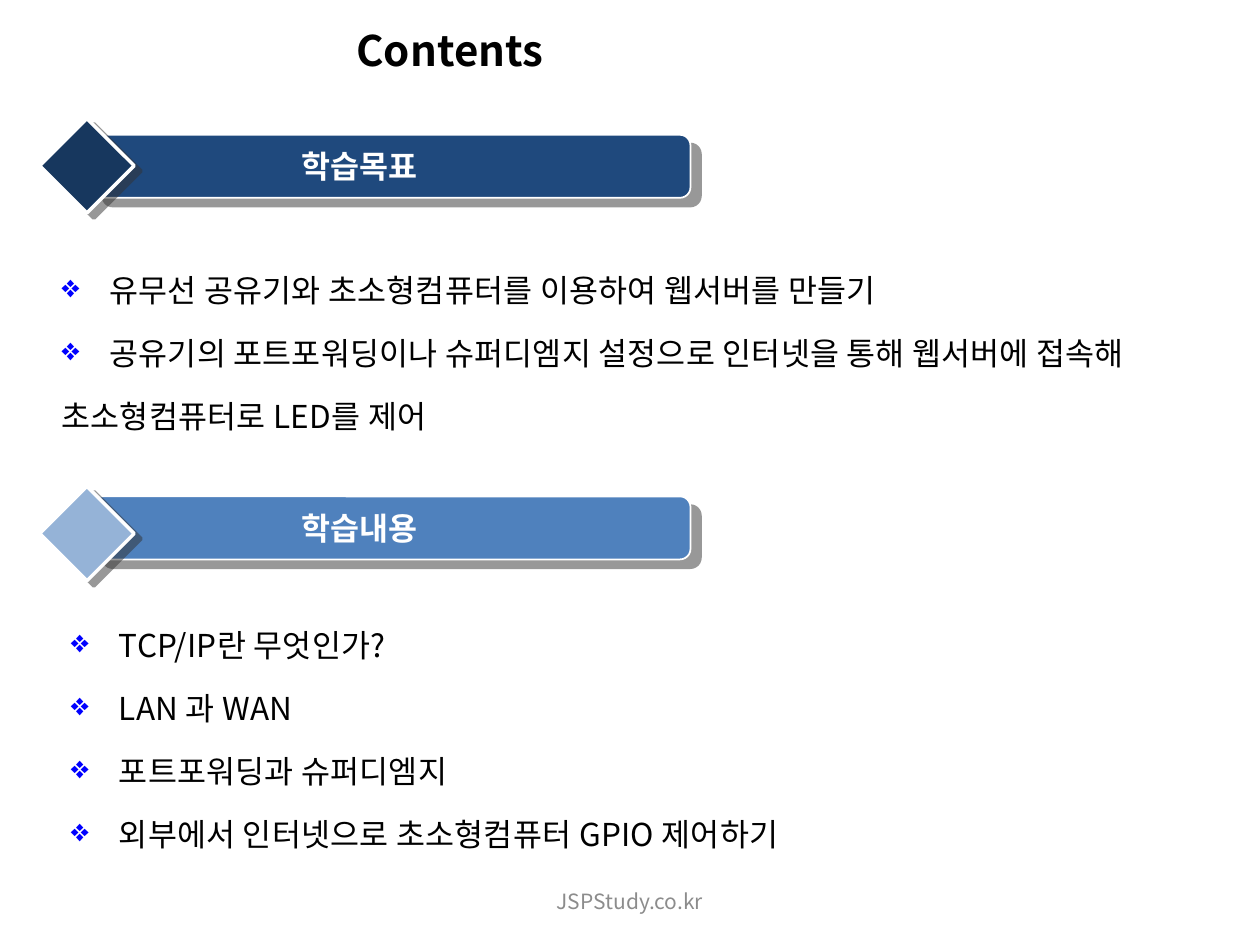
import dataclasses

import lxml.etree
import pptx
import pptx.dml.color
import pptx.enum.shapes
import pptx.enum.text
import pptx.oxml.ns
import pptx.util

SHAPE = pptx.enum.shapes.MSO_SHAPE
ALIGN = pptx.enum.text.PP_ALIGN
ANCHOR = pptx.enum.text.MSO_ANCHOR
COLUMNS, ROWS = 100, 75


@dataclasses.dataclass(frozen=True)
class Theme:
    font: str = "Noto Sans CJK KR"
    bullet_font: str = "OpenSymbol"
    ink: str = "000000"
    paper: str = "FFFFFF"
    muted: str = "8C8C8C"
    bullet: str = "0000FF"
    shadow: str = "333333"
    goal_bar: str = "1F497D"
    goal_diamond: str = "17375E"
    topic_bar: str = "4F81BD"
    topic_diamond: str = "95B3D7"
    title_size: int = 24
    body_size: int = 18
    footer_size: int = 12
    body_tracking: float = 0.15


def rgb(value):
    return pptx.dml.color.RGBColor.from_string(value)


def add_xml(parent, tag, **attributes):
    return lxml.etree.SubElement(parent, pptx.oxml.ns.qn(tag), attributes)


def write(para, text, *, font, size, color, bold=False, align=ALIGN.LEFT, tracking=0):
    """Put formatted text into a paragraph."""
    para.alignment = align
    span = para.add_run()
    span.text = text
    span.font.name = font
    span.font.size = pptx.util.Pt(size)
    span.font.bold = bold
    span.font.color.rgb = rgb(color)
    add_xml(span.font._element, "a:ea", typeface=font)
    if tracking:
        span.font._element.set("spc", str(round(tracking * 100)))


class SlideBuilder:
    """Places elements on a grid of 100 columns by 75 rows."""

    def __init__(self, deck, theme):
        self.deck = deck
        self.theme = theme
        self.page = deck.slides.add_slide(deck.slide_layouts[5])

    def place(self, left, top, width, height):
        column = self.deck.slide_width / COLUMNS
        row = self.deck.slide_height / ROWS
        return [round(left * column), round(top * row),
                round(width * column), round(height * row)]

    def title(self, text, area):
        box = self.page.shapes.title
        box.left, box.top, box.width, box.height = self.place(*area)
        frame = box.text_frame
        frame.vertical_anchor = ANCHOR.MIDDLE
        write(frame.paragraphs[0], text, font=self.theme.font, bold=True,
              size=self.theme.title_size, color=self.theme.ink, align=ALIGN.CENTER)

    def shadowed(self, shapes, kind, area, fill, line_width, distance, angle):
        shape = shapes.add_shape(kind, *self.place(*area))
        shape.fill.solid()
        shape.fill.fore_color.rgb = rgb(fill)
        shape.line.color.rgb = rgb(self.theme.paper)
        shape.line.width = pptx.util.Pt(line_width)
        # Offset shadow, half transparent
        shape.shadow.inherit = False
        effects = shape._element.spPr.find(pptx.oxml.ns.qn("a:effectLst"))
        shadow = add_xml(effects, "a:outerShdw", blurRad="0", algn="ctr", rotWithShape="0",
                         dist=str(pptx.util.Pt(distance)), dir=str(angle * 60000))
        color = add_xml(shadow, "a:srgbClr", val=self.theme.shadow)
        add_xml(color, "a:alpha", val="50000")

    def label(self, shapes, text, area, *, size, color, bold=False, anchor=ANCHOR.TOP):
        box = shapes.add_textbox(*self.place(*area))
        frame = box.text_frame
        frame.word_wrap = True
        frame.vertical_anchor = anchor
        write(frame.paragraphs[0], text, font=self.theme.font, size=size,
              color=color, bold=bold, align=ALIGN.CENTER)

    def heading(self, text, bar_top, diamond_top, bar_color, diamond_color):
        shapes = self.page.shapes.add_group_shape().shapes
        self.shadowed(shapes, SHAPE.ROUNDED_RECTANGLE, (7.3, bar_top, 47.5, 5),
                      bar_color, 1, 7.8, 40)
        self.shadowed(shapes, SHAPE.DIAMOND, (3.15, diamond_top, 7.5, 7.5),
                      diamond_color, 2, 5, 37)
        self.label(shapes, text, (9.8, bar_top + 0.5, 37.5, 4), bold=True,
                   size=self.theme.body_size, color=self.theme.paper)

    def bullets(self, items, area):
        """Each item is a pair: text, and whether it carries a bullet."""
        frame = self.page.shapes.add_textbox(*self.place(*area)).text_frame
        frame.word_wrap = True
        indent = pptx.util.Inches(0.38)
        for index, (text, marked) in enumerate(items):
            para = frame.add_paragraph() if index else frame.paragraphs[0]
            settings = para._p.get_or_add_pPr()
            settings.set("marL", str(indent))
            settings.set("indent", str(-indent))
            if marked:
                add_xml(add_xml(settings, "a:buClr"), "a:srgbClr", val=self.theme.bullet)
                add_xml(settings, "a:buFont", typeface=self.theme.bullet_font)
                add_xml(settings, "a:buChar", char="❖")
            else:
                add_xml(settings, "a:buNone")
            para.line_spacing = 1.5
            if index:
                para.space_before = pptx.util.Pt(3.6)
            write(para, text, font=self.theme.font, size=self.theme.body_size,
                  color=self.theme.ink, tracking=self.theme.body_tracking)


def main():
    deck = pptx.Presentation()
    deck.slide_width = pptx.util.Inches(10)
    deck.slide_height = pptx.util.Inches(7.5)
    theme = Theme()
    slide = SlideBuilder(deck, theme)

    slide.title("Contents", (5, 0.05, 61.4, 7.8))

    # Learning goals
    slide.heading("학습목표", 10.7, 9.4, theme.goal_bar, theme.goal_diamond)
    slide.bullets([
        ("유무선 공유기와 초소형컴퓨터를 이용하여 웹서버를 만들기", True),
        ("공유기의 포트포워딩이나 슈퍼디엠지 설정으로 인터넷을 통해 웹서버에 접속해", True),
        ("초소형컴퓨터로 LED를 제어", False),
    ], (3.9, 19.5, 96.1, 10.9))

    # Learning topics
    slide.heading("학습내용", 39.4, 38.6, theme.topic_bar, theme.topic_diamond)
    slide.bullets([
        ("TCP/IP란 무엇인가?", True),
        ("LAN 과 WAN", True),
        ("포트포워딩과 슈퍼디엠지", True),
        ("외부에서 인터넷으로 초소형컴퓨터 GPIO 제어하기", True),
    ], (4.65, 47.7, 77.3, 25.8))

    # Footer
    slide.label(slide.page.shapes, "JSPStudy.co.kr", (34.15, 69.5, 31.7, 4),
                size=theme.footer_size, color=theme.muted, anchor=ANCHOR.MIDDLE)

    deck.save("out.pptx")


if __name__ == "__main__":
    main()
